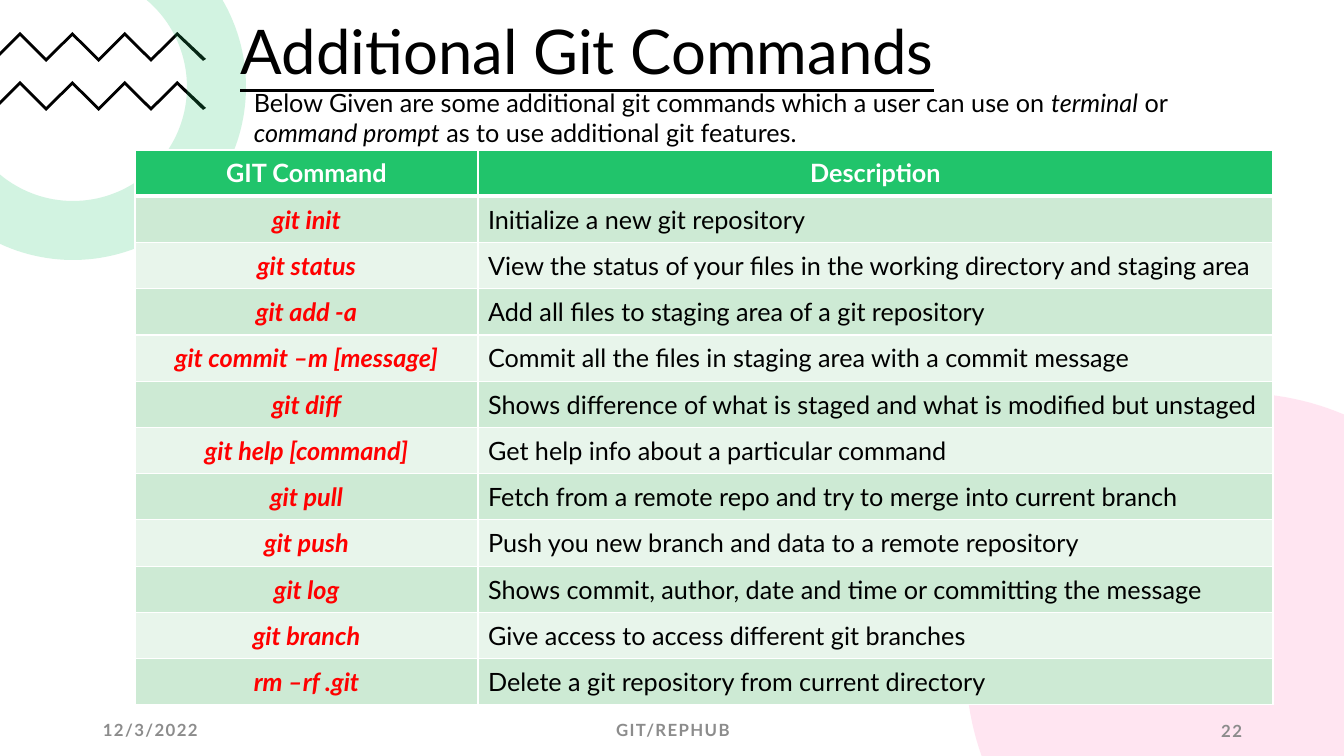
import math
from lxml import etree
from pptx import Presentation, util as u
from pptx.dml.color import RGBColor
from pptx.enum import text
from pptx.oxml.ns import qn

SCALE = 12192000 / 1344  # EMU per px
WIDTH, HEIGHT = 1344, 756
FONT = "Lato"
GREEN, PINK, BLACK, WHITE = "21C46B", "FF80BD", "000000", "FFFFFF"
RED, GREY = "FF0000", "8C8C8C"
BANDS = ("CDEAD4", "E8F5EB")
LEFT, CENTER, RIGHT = text.PP_ALIGN.LEFT, text.PP_ALIGN.CENTER, text.PP_ALIGN.RIGHT
MIDDLE, TOP = text.MSO_ANCHOR.MIDDLE, text.MSO_ANCHOR.TOP

# Content
TITLE = "Additional Git Commands"
INTRO = [
    ("Below Given are some additional git commands which a user can use on ", False),
    ("terminal", True),
    (" or ", False),
    ("command prompt", True),
    (" as to use additional git features.", False),
]
HEADER = ("GIT Command", "Description")
COMMANDS = [
    ("git init", "Initialize a new git repository"),
    ("git status", "View the status of your files in the working directory and staging area"),
    ("git add -a", "Add all files to staging area of a git repository"),
    ("git commit –m [message]", "Commit all the files in staging area with a commit message"),
    ("git diff", "Shows difference of what is staged and what is modified but unstaged"),
    ("git help [command]", "Get help info about a particular command"),
    ("git pull", "Fetch from a remote repo and try to merge into current branch"),
    ("git push", "Push you new branch and data to a remote repository"),
    ("git log", "Shows commit, author, date and time or committing the message"),
    ("git branch", "Give access to access different git branches"),
    ("rm –rf .git", "Delete a git repository from current directory"),
]
FOOTERS = [
    ("12/3/2022", (93, 710, 302, 40), LEFT),
    ("GIT/REPHUB", (446, 710, 454, 40), CENTER),
    ("22", (950, 711, 302, 40), RIGHT),
]
ZIGZAG_TOPS = (32, 81)
TABLE_BOX = (135, 150, 1138, 555)
COLUMNS = (343, 795)


def px(value):
    return u.Emu(round(value * SCALE))


def color(code):
    return RGBColor.from_string(code)


def style(span, size, code, bold=False, italic=False):
    font = span.font
    font.name, font.size, font.bold, font.italic = FONT, u.Pt(size), bold, italic
    font.color.rgb = color(code)


def add_outline(page, points, code, alpha=None):
    corners = [(px(x), px(y)) for x, y in points]
    builder = page.shapes.build_freeform(*corners[0])
    builder.add_line_segments(corners[1:])
    shape = builder.convert_to_shape()
    shape.shadow.inherit = False
    shape.fill.solid()
    shape.fill.fore_color.rgb = color(code)
    shape.line.fill.background()
    if alpha:
        tint = shape.fill._xPr.find(".//" + qn("a:srgbClr"))
        etree.SubElement(tint, qn("a:alpha")).set("val", str(alpha * 1000))


def arc(center, radius, start, end, steps=72):
    angles = (start + (end - start) * i / steps for i in range(steps + 1))
    return [(center[0] + radius * math.cos(a), center[1] + radius * math.sin(a)) for a in angles]


def add_text(page, place, spans, align=LEFT, anchor=MIDDLE):
    """Adds a one-paragraph box and returns its runs."""
    box = page.shapes.add_textbox(*map(px, place))
    frame = box.text_frame
    frame.word_wrap, frame.vertical_anchor = True, anchor
    para = frame.paragraphs[0]
    para.alignment = align
    for words in spans:
        para.add_run().text = words
    return para.runs


def add_border(cell, side, points):
    line = etree.SubElement(cell._tc.get_or_add_tcPr(), qn("a:" + side), w=str(u.Pt(points)))
    fill = etree.SubElement(line, qn("a:solidFill"))
    etree.SubElement(fill, qn("a:srgbClr"), val=WHITE)


def add_decorations(page):
    # Zigzags, cut by the left edge
    for top in ZIGZAG_TOPS:
        upper = [(20 + 26.2 * i, top + 26 * (i % 2)) for i in range(7)]
        lower = [(x, y + 4) for x, y in reversed(upper)]
        ends = [(206, top + 27), (203, top + 29)]
        add_outline(page, upper + ends + lower + [(0, top + 24), (0, top + 20)], BLACK)

    # Ring, cut by the top and left edges
    center, outer, inner = (73, 87), 173, 114
    sweeps = [arc(center, r, -math.asin(center[1] / r), math.acos(-center[0] / r))
              for r in (outer, inner)]
    add_outline(page, sweeps[0] + sweeps[1][::-1], GREEN, 20)

    # Disc, cut by the right and bottom edges
    center, radius = (1238, 665), 272
    start = math.pi - math.asin((HEIGHT - center[1]) / radius)
    end = 2 * math.pi - math.acos((WIDTH - center[0]) / radius)
    add_outline(page, arc(center, radius, start, end) + [(WIDTH, HEIGHT)], PINK, 20)


def add_command_table(page):
    rows = [HEADER] + COMMANDS
    table = page.shapes.add_table(len(rows), len(COLUMNS), *map(px, TABLE_BOX)).table
    for column, width in zip(table.columns, COLUMNS):
        column.width = px(width)
    for r, row in enumerate(rows):
        for c, words in enumerate(row):
            cell = table.cell(r, c)
            cell.vertical_anchor = MIDDLE
            for side in ("lnL", "lnR", "lnT", "lnB"):
                under_header = (r, side) in ((0, "lnB"), (1, "lnT"))
                add_border(cell, side, 3 if under_header else 1)
            cell.fill.solid()
            cell.fill.fore_color.rgb = color(BANDS[(r - 1) % 2] if r else GREEN)
            cell.text_frame.text = words
            para = cell.text_frame.paragraphs[0]
            is_command = r > 0 and c == 0
            para.alignment = CENTER if r == 0 or is_command else LEFT
            code = WHITE if r == 0 else RED if is_command else BLACK
            style(para.runs[0], 18, code, r == 0 or is_command, is_command)


def main():
    deck = Presentation()
    deck.slide_width, deck.slide_height = px(WIDTH), px(HEIGHT)
    page = deck.slides.add_slide(deck.slide_layouts[6])
    add_decorations(page)

    # Footer
    for words, place, align in FOOTERS:
        span = add_text(page, place, [words], align)[0]
        style(span, 12, GREY, bold=True)
        span._r.get_or_add_rPr().set("spc", "100")

    add_command_table(page)

    # Title and introduction
    title = add_text(page, (50, -12, 1075, 124), [TITLE], CENTER)[0]
    style(title, 44, BLACK)
    title.font.underline = True
    spans = add_text(page, (244, 82, 1037, 72), [words for words, _ in INTRO], anchor=TOP)
    for span, (_, italic) in zip(spans, INTRO):
        style(span, 18, BLACK, italic=italic)

    deck.save("out.pptx")


if __name__ == "__main__":
    main()
